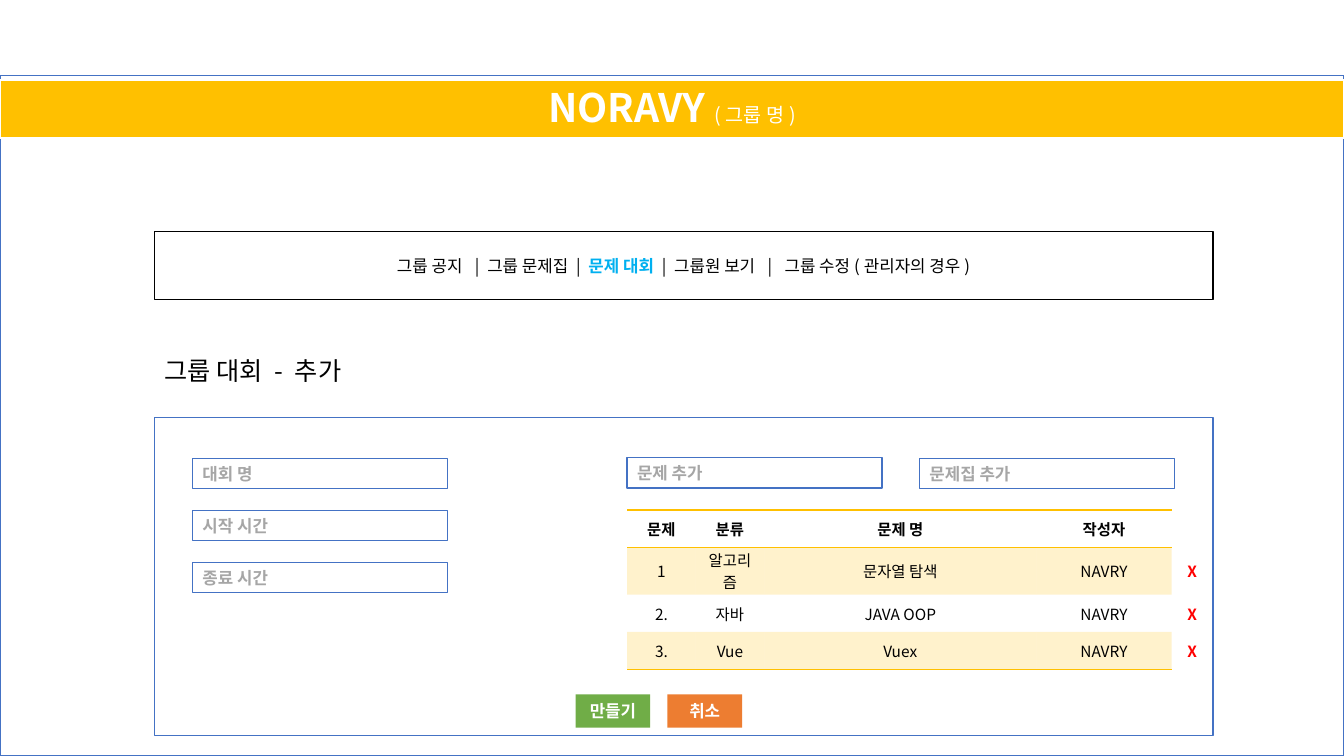
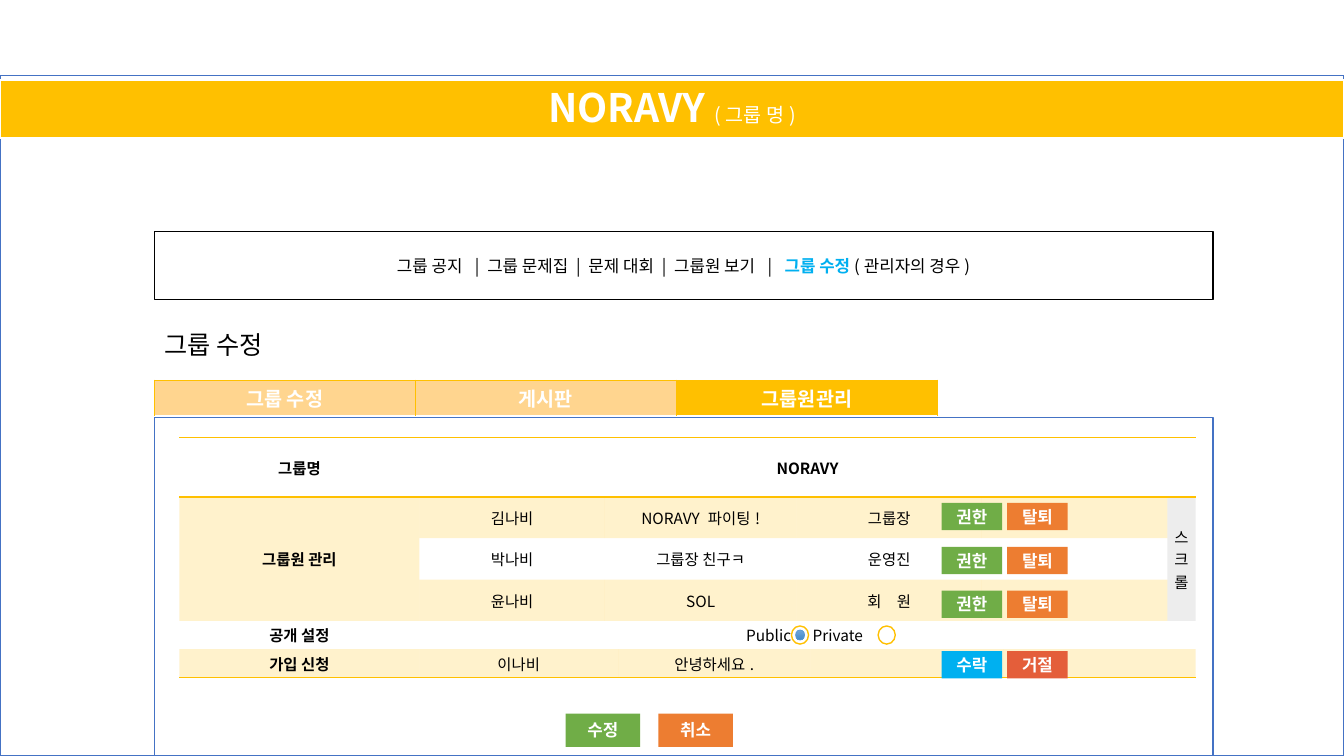
from itertools import product

from lxml.etree import SubElement
from pptx import Presentation
from pptx.dml.color import RGBColor
from pptx.enum.shapes import MSO_SHAPE
from pptx.enum.text import MSO_ANCHOR, MSO_AUTO_SIZE, PP_ALIGN
from pptx.oxml.ns import qn
from pptx.util import Inches, Pt

FONT = "Noto Sans CJK KR"
WHITE, BLACK, GREY, RED = "FFFFFF", "000000", "A6A6A6", "FF0000"
BLUE, SKY, GOLD, PALE_GOLD = "4472C4", "00B0F0", "FFC000", "FFD58F"
GREEN, ORANGE, BRICK = "70AD47", "ED7D31", "E45E3A"
NO_TABLE_STYLE = "{2D5ABB26-0587-4C30-8999-92F81FD0307C}"

BRAND, AUTHOR = "NORAVY", "NAVRY"
MENU = ["그룹 공지", "\u2002| 그룹 문제집 | ", "문제 대회", " | 그룹원 보기\u2002|\u2002",
        "그룹 수정", "(관리자의 경우)"]
CONTENT_LEFT, CONTENT_WIDTH = 1.53, 10.5


def paint(fill, color):
    """Make a fill solid with a hex colour."""
    fill.solid()
    fill.fore_color.rgb = RGBColor.from_string(color)


def add_span(para, text, size=12, color=BLACK, bold=False):
    """Add a formatted run to a paragraph."""
    span = para.add_run()
    span.text = text
    paint(span.font.fill, color)
    for name, value in {"size": Pt(size), "bold": bold, "name": FONT}.items():
        setattr(span.font, name, value)
    SubElement(span.font._element, qn("a:ea"), typeface=FONT)


def write(frame, text, align=PP_ALIGN.CENTER, **style):
    """Write one paragraph for each line of text."""
    for index, line in enumerate(text.split("\n")):
        para = frame.add_paragraph() if index else frame.paragraphs[0]
        para.alignment = align
        add_span(para, line, **style)


def add_box(page, left, top, width, height, fill=WHITE, line=None, weight=1,
            kind=MSO_SHAPE.RECTANGLE):
    """Add a flat shape with an optional outline."""
    box = page.shapes.add_shape(kind, Inches(left), Inches(top),
                                Inches(width), Inches(height))
    box.shadow.inherit = False
    paint(box.fill, fill)
    if line:
        paint(box.line.fill, line)
        box.line.width = Pt(weight)
    else:
        box.line.fill.background()
    settings = {"word_wrap": True, "vertical_anchor": MSO_ANCHOR.MIDDLE,
                "margin_top": 0, "margin_bottom": 0}
    for name, value in settings.items():
        setattr(box.text_frame, name, value)
    return box


def add_button(page, text, left, top, fill, width=0.74, height=0.33):
    """Add a coloured button with a bold white label."""
    box = add_box(page, left, top, width, height, fill)
    box.text_frame.margin_left = box.text_frame.margin_right = 0
    write(box.text_frame, text, color=WHITE, bold=True)


def add_field(page, hint, left, top):
    """Add an input field with a grey hint."""
    box = add_box(page, left, top, 2.53, 0.3, line=BLUE)
    write(box.text_frame, hint, PP_ALIGN.LEFT, color=GREY, bold=True)


def add_radio(page, left, top, chosen=False):
    """Add a radio button, with a shaded dot when chosen."""
    add_box(page, left, top, 0.17, 0.18, line=GOLD, kind=MSO_SHAPE.OVAL)
    if chosen:
        dot = add_box(page, left + 0.04, top + 0.04, 0.09, 0.1,
                      line="5B9BD5", weight=0.5, kind=MSO_SHAPE.OVAL)
        dot.fill.gradient()
        dot.fill.gradient_angle = 270
        for stop, color in zip(dot.fill.gradient_stops, ("71A6DB", "448ACA")):
            stop.color.rgb = RGBColor.from_string(color)


def add_grid(page, left, top, widths, heights, size=11, margin=0.01):
    """Add a table without style, ready for small text."""
    frame = page.shapes.add_table(
        len(heights), len(widths), Inches(left), Inches(top),
        Inches(sum(widths)), Inches(sum(heights)))
    table = frame.table
    table.first_row = table.horz_banding = False
    table._tbl.tblPr.find(qn("a:tableStyleId")).text = NO_TABLE_STYLE
    for column, width in zip(table.columns, widths):
        column.width = Inches(width)
    for row, height in zip(table.rows, heights):
        row.height = Inches(height)
        for cell in row.cells:
            cell.vertical_anchor = MSO_ANCHOR.MIDDLE
            cell.margin_top = cell.margin_bottom = Inches(margin)
            SubElement(cell.text_frame.paragraphs[0]._p, qn("a:endParaRPr"),
                       sz=str(size * 100))
    return table


def add_edges(cell, edges):
    """Draw cell borders, given as (side, colour, points) in L, R, T, B order."""
    for side, color, weight in edges:
        line = SubElement(cell._tc.get_or_add_tcPr(), qn("a:ln" + side),
                          w=str(Pt(weight)))
        solid = SubElement(line, qn("a:solidFill"))
        SubElement(solid, qn("a:srgbClr"), val=color)


def tint(cell):
    """Fill a cell with gold at 20 percent opacity."""
    paint(cell.fill, GOLD)
    color = cell._tc.tcPr.find(qn("a:solidFill"))[0]
    SubElement(color, qn("a:alpha"), val="20000")


def rule_and_tint(table, columns, tinted_rows):
    """Rule the header and the last row in gold and tint the given rows."""
    last = len(table.rows) - 1
    sides = {0: "TB", last: "B"}
    for row, column in product(range(last + 1), range(columns)):
        cell = table.cell(row, column)
        add_edges(cell, [(side, GOLD, 1) for side in sides.get(row, "")])
        if row in tinted_rows:
            tint(cell)


def prepare_layout(deck):
    """Keep only the title in the layout that the pages use."""
    layout = deck.slide_layouts[5]
    for holder in list(layout.placeholders):
        if holder.placeholder_format.idx:
            holder.element.getparent().remove(holder.element)
    return layout


def frame_layout(page):
    """Put the window frame behind every page of this layout."""
    window = add_box(page, 0, 0.75, 13.33, 6.75, line=BLUE)
    page.slide_layout.shapes.element.insert(2, window.element)


def add_header(page, heading, heading_top, active, panel_height):
    """Add the heading, brand band, menu and content panel of a page."""
    title = page.shapes.title
    places = {"left": CONTENT_LEFT, "top": heading_top,
              "width": CONTENT_WIDTH, "height": 1.01}
    for name, value in places.items():
        setattr(title, name, Inches(value))
    settings = {"vertical_anchor": MSO_ANCHOR.TOP, "word_wrap": True,
                "auto_size": MSO_AUTO_SIZE.NONE}
    for name, value in settings.items():
        setattr(title.text_frame, name, value)
    write(title.text_frame, heading, PP_ALIGN.LEFT, size=18)

    band = add_box(page, 0, 0.79, 13.33, 0.58, GOLD, WHITE, 1.5)
    band.text_frame.margin_bottom = Inches(0.05)
    write(band.text_frame, BRAND + " ", size=28, color=WHITE, bold=True)
    add_span(band.text_frame.paragraphs[0], "(그룹 명)", size=14, color=WHITE)

    menu = add_box(page, CONTENT_LEFT, 2.3, CONTENT_WIDTH, 0.67, line=BLACK)
    para = menu.text_frame.paragraphs[0]
    para.alignment = PP_ALIGN.CENTER
    for item in MENU:
        chosen = item == active
        add_span(para, item, color=SKY if chosen else BLACK, bold=chosen)

    add_box(page, CONTENT_LEFT, 4.14, CONTENT_WIDTH, panel_height, line=BLUE)


def build_contest_page(page):
    """Build the form that adds a group contest."""
    add_header(page, "그룹 대회 - 추가", 3.47, "문제 대회", 3.16)
    for index, hint in enumerate(["대회 명", "시작 시간", "종료 시간"]):
        add_field(page, hint, 1.91, 4.55 + 0.515 * index)
    add_field(page, "문제 추가", 6.22, 4.54)
    add_field(page, "문제집 추가", 9.12, 4.55)

    rows = [["문제", "분류", "문제 명", "작성자", ""],
            ["1", "알고리즘", "문자열 탐색", AUTHOR, "X"],
            ["2.", "자바", "JAVA OOP", AUTHOR, "X"],
            ["3.", "Vue", "Vuex", AUTHOR, "X"]]
    table = add_grid(page, 6.22, 5.06, [0.68, 0.68, 2.7, 1.34, 0.41],
                     [0.37, 0.47, 0.37, 0.37])
    rule_and_tint(table, 4, {1, 3})
    for row, texts in enumerate(rows):
        for column, text in enumerate(texts):
            delete = text == "X"
            if text:
                write(table.cell(row, column).text_frame, text, size=11,
                      bold=row == 0 or delete, color=RED if delete else BLACK)

    add_button(page, "만들기", 5.71, 6.89, GREEN)
    add_button(page, "취소", 6.62, 6.89, ORANGE)


def add_tabs(page, labels, active):
    """Add the row of tabs above the panel."""
    table = add_grid(page, CONTENT_LEFT, 3.77, [2.59] * len(labels), [0.35],
                     size=14, margin=0.03)
    for cell, label in zip(table.rows[0].cells, labels):
        add_edges(cell, [("L", GOLD, 0.5), ("R", GOLD, 0.5),
                         ("T", GOLD, 0.5), ("B", WHITE, 1)])
        paint(cell.fill, GOLD if label == active else PALE_GOLD)
        write(cell.text_frame, label, size=14, color=WHITE, bold=True)


def add_member_table(page):
    """Add the table of members, visibility and requests."""
    table = add_grid(page, 1.78, 4.34,
                     [2.38, 1.84, 0.13, 1.77, 0.14, 1.7, 0.21, 1.63, 0.28],
                     [0.59, 0.41, 0.41, 0.41, 0.28, 0.28])
    rule_and_tint(table, 9, {1, 3, 5})
    merges = [(0, 1, 0, 8), (1, 0, 3, 0), (1, 8, 3, 8), (4, 1, 4, 8)]
    merges += [(row, column, row, column + 1)
               for row, column in product((1, 2, 3), (2, 4, 6))]
    merges += [(5, column, 5, column + 1) for column in (1, 3, 5, 7)]
    for top, left, bottom, right in merges:
        table.cell(top, left).merge(table.cell(bottom, right))

    labels = {(0, 0): "그룹명", (0, 1): BRAND, (1, 0): "그룹원 관리",
              (4, 0): "공개 설정", (5, 0): "가입 신청"}
    values = {(1, 1): "김나비", (1, 2): f"{BRAND} 파이팅!", (1, 4): "그룹장",
              (2, 1): "박나비", (2, 2): "그룹장 친구ㅋ", (2, 4): "운영진",
              (3, 1): "윤나비", (3, 2): "SOL", (3, 4): "회\u2003원",
              (5, 1): "이나비", (5, 3): "안녕하세요."}
    for texts, bold in ((labels, True), (values, False)):
        for place, text in texts.items():
            write(table.cell(*place).text_frame, text, size=11, bold=bold)

    scroll = table.cell(1, 8)
    scroll.margin_left = scroll.margin_right = 0
    paint(scroll.fill, GREY)
    write(scroll.text_frame, "스\n크\n롤", size=11)

    visibility = table.cell(4, 1)
    visibility.margin_left = Inches(3.24)
    write(visibility.text_frame, "Public\tPrivate", PP_ALIGN.LEFT, size=11)
    stops = SubElement(visibility.text_frame.paragraphs[0]._p.pPr, qn("a:tabLst"))
    SubElement(stops, qn("a:tab"), pos=str(Inches(0.66)), algn="l")


def build_group_page(page):
    """Build the page that manages the members of a group."""
    add_header(page, "그룹 수정", 3.22, "그룹 수정", 3.36)
    add_tabs(page, ["그룹 수정", "게시판", "그룹원관리"], "그룹원관리")
    add_member_table(page)

    pairs = [(4.99 + 0.435 * index, ("권한", GREEN), ("탈퇴", ORANGE))
             for index in range(3)]
    pairs.append((6.46, ("수락", SKY), ("거절", BRICK)))
    for top, *buttons in pairs:
        for left, (text, fill) in zip((9.34, 9.99), buttons):
            add_button(page, text, left, top, fill, 0.6, 0.27)

    add_radio(page, 7.85, 6.21, chosen=True)
    add_radio(page, 8.71, 6.21)
    add_button(page, "수정", 5.61, 7.08, GREEN)
    add_button(page, "취소", 6.53, 7.08, ORANGE)


def main():
    """Build and save the deck."""
    deck = Presentation()
    deck.slide_width, deck.slide_height = Inches(13.33), Inches(7.5)
    layout = prepare_layout(deck)
    pages = [deck.slides.add_slide(layout) for _ in range(2)]
    frame_layout(pages[0])
    build_contest_page(pages[0])
    build_group_page(pages[1])
    deck.save("out.pptx")


main()
